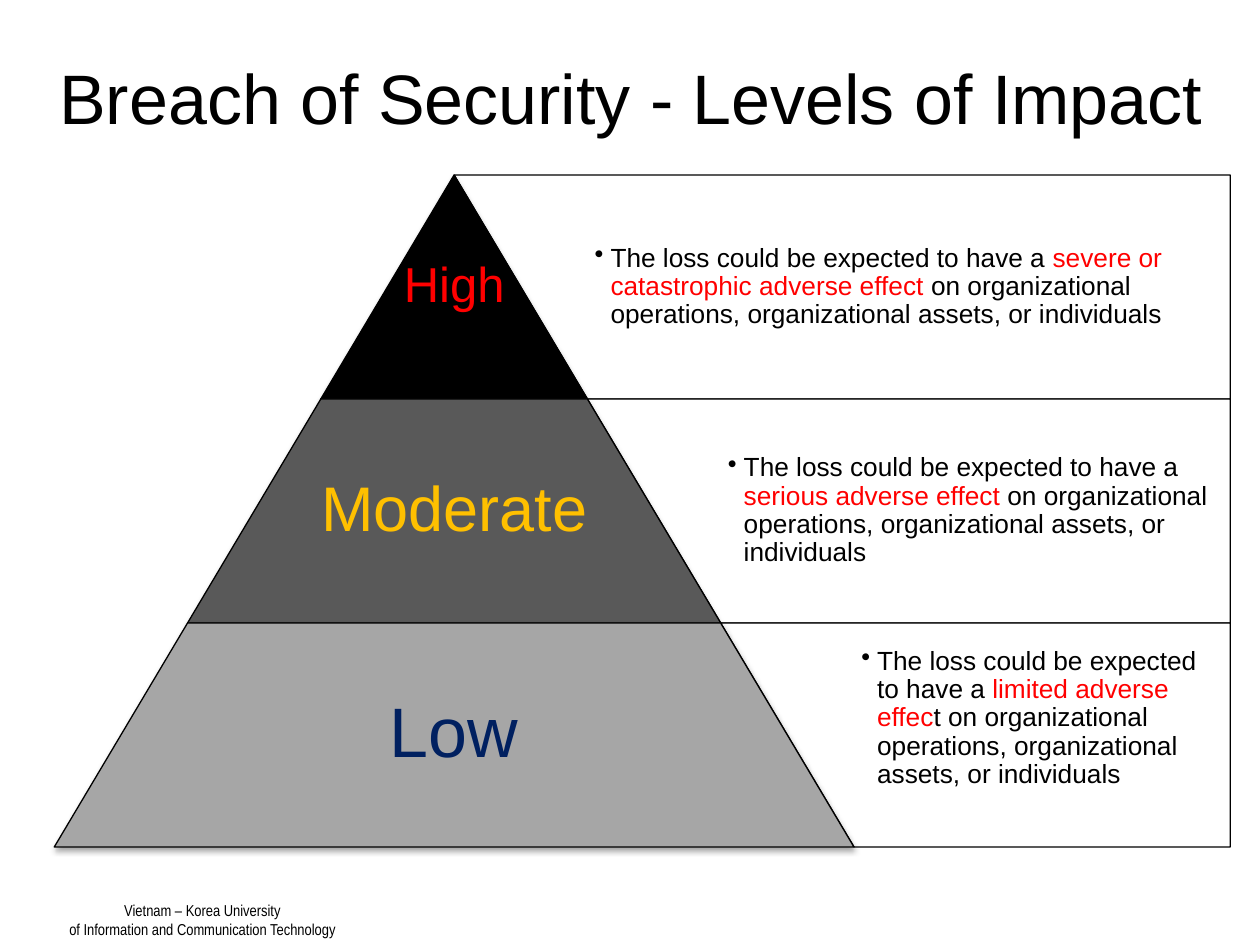
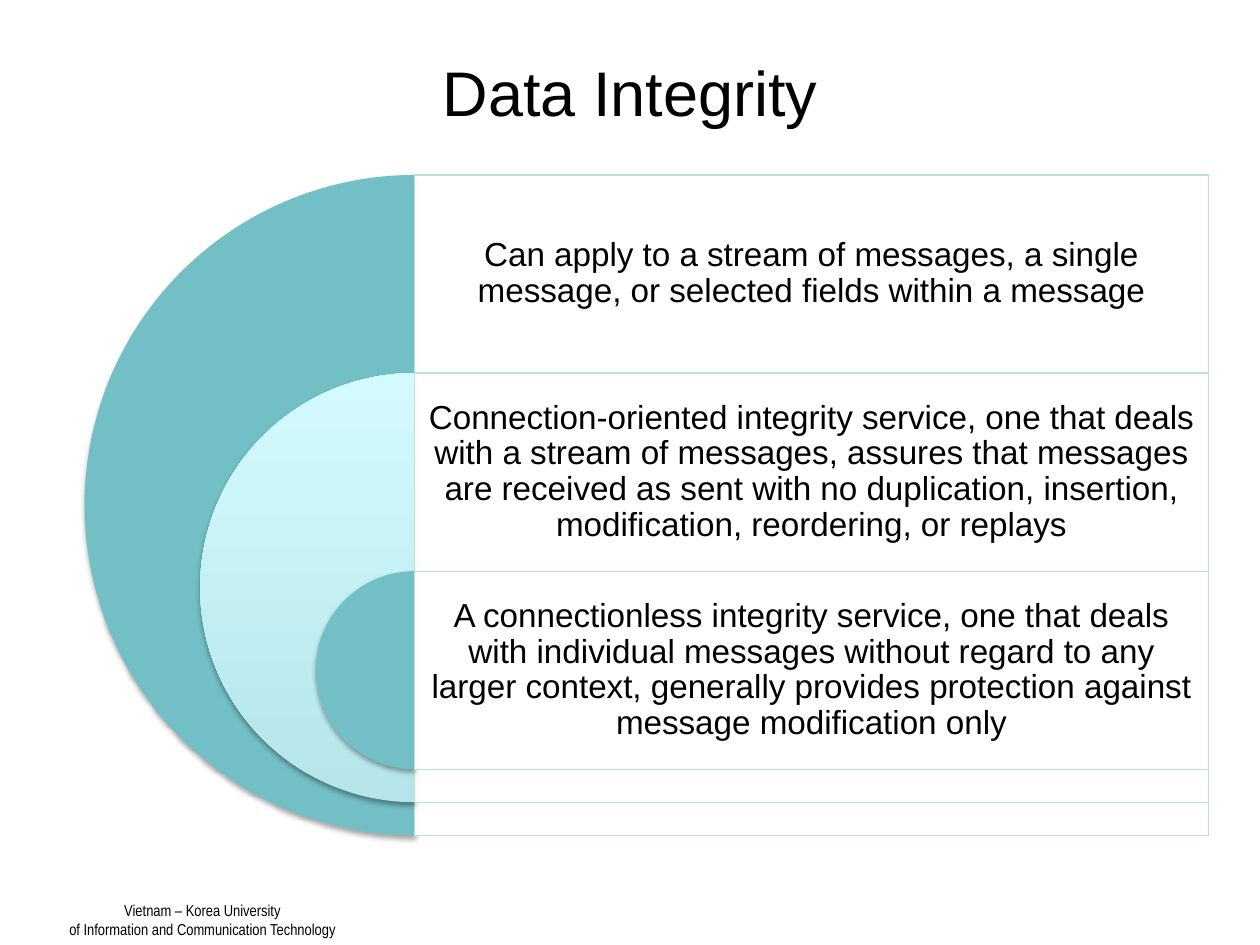
from lxml import etree
from pptx import Presentation
from pptx.dml.color import RGBColor
from pptx.enum.shapes import MSO_SHAPE as Shape
from pptx.enum.text import MSO_ANCHOR as Anchor, MSO_AUTO_SIZE as AutoSize, PP_ALIGN as Align
from pptx.oxml.ns import qn
from pptx.util import Pt

# Content
FOOTER = ["Vietnam – Korea University", "of Information and Communication Technology"]

LEVELS_TITLE = "Breach of Security - Levels of Impact"
EXPECTED = "The loss could be expected to have a "
AFFECTED = "on organizational operations, organizational assets, or individuals"
LEVELS = [
    dict(name="High", size=28, color="FF0000", fill="000000",
         effect="severe or catastrophic adverse effect ", rest=AFFECTED, lift=0),
    dict(name="Moderate", size=36, color="FFC000", fill="595959",
         effect="serious adverse effect ", rest=AFFECTED, lift=0),
    dict(name="Low", size=40, color="002060", fill="A6A6A6",
         effect="limited adverse effec", rest="t " + AFFECTED, lift=19),
]

INTEGRITY_TITLE = "Data Integrity"
INTEGRITY = [
    ("Can apply to a stream of messages, a single message, "
     "or selected fields within a message", ["72BFC5"]),
    ("Connection-oriented integrity service, one that deals with a stream of messages, "
     "assures that messages are received as sent with no duplication, insertion, "
     "modification, reordering, or replays", ["B5E5E9", "D3FBFF"]),
    ("A connectionless integrity service, one that deals with individual messages "
     "without regard to any larger context, generally provides protection against "
     "message modification only", ["72BFC5"]),
]

# Shared style
BLACK, WHITE, RED, PALE_TEAL = "000000", "FFFFFF", "FF0000", "BBE0E3"
FONT, FOOTER_FONT = "Arial", "Arial Narrow"
TOP = 100


def rgb(color):
    return RGBColor.from_string(color)


def place(shape, left, top, width, height):
    shape.left, shape.top = Pt(left), Pt(top)
    shape.width, shape.height = Pt(width), Pt(height)


def write(shape, paragraphs, size, font=FONT, color=BLACK, align=Align.CENTER,
          anchor=Anchor.MIDDLE, inset=(7.2, 3.6, 7.2, 3.6), spacing=None, wrap=True,
          bullet_indent=None):
    """Fill a shape with paragraphs, each a string or a list of (text, color)."""
    frame = shape.text_frame
    frame.auto_size = AutoSize.NONE
    frame.word_wrap, frame.vertical_anchor = wrap, anchor
    (frame.margin_left, frame.margin_top,
     frame.margin_right, frame.margin_bottom) = map(Pt, inset)
    for index, spans in enumerate(paragraphs):
        para = frame.add_paragraph() if index else frame.paragraphs[0]
        para.alignment = align
        if spacing:
            para.line_spacing = spacing
        if bullet_indent:
            props = para._p.get_or_add_pPr()
            props.set("marL", str(Pt(bullet_indent)))
            props.set("indent", str(-Pt(bullet_indent)))
            etree.SubElement(props, qn("a:buChar"), char="•")
        for text, span_color in [(spans, color)] if isinstance(spans, str) else spans:
            span = para.add_run()
            span.text = text
            span.font.name, span.font.size = font, Pt(size)
            span.font.color.rgb = rgb(span_color)


def add_text(slide, frame, paragraphs, **text_format):
    write(slide.shapes.add_textbox(*map(Pt, frame)), paragraphs, **text_format)


def set_alpha(color_element, percent):
    etree.SubElement(color_element, qn("a:alpha"), val=str(percent * 1000))


def add_shadow(shape):
    effects = shape._element.spPr.find(qn("a:effectLst"))
    shadow = etree.SubElement(effects, qn("a:outerShdw"), blurRad=str(Pt(3.1)),
                              dist=str(Pt(1.8)), dir="5400000", rotWithShape="0")
    set_alpha(etree.SubElement(shadow, qn("a:srgbClr"), val=BLACK), 35)


def add_part(slide, kind, frame, fills, line=None, adjust=(), alpha=None, shadow=False):
    """Add a preset shape; two fills make a gradient from bottom to top."""
    part = slide.shapes.add_shape(kind, *map(Pt, frame))
    part.shadow.inherit = False
    for index, value in enumerate(adjust):
        part.adjustments[index] = value
    if len(fills) > 1:
        part.fill.gradient()
        part.fill.gradient_angle = 90
        for index, color in enumerate(fills):
            stop = part.fill.gradient_stops[index]
            stop.color.rgb, stop.position = rgb(color), index
    else:
        part.fill.solid()
        part.fill.fore_color.rgb = rgb(fills[0])
    if alpha:
        set_alpha(part._element.spPr.find(f"{qn('a:solidFill')}/{qn('a:srgbClr')}"), alpha)
    if line:
        part.line.color.rgb, part.line.width = rgb(line), Pt(0.75)
    else:
        part.line.fill.background()
    if shadow:
        add_shadow(part)
    return part


def add_page(deck, title, frame, size):
    page = deck.slides.add_slide(deck.slide_layouts[5])
    place(page.shapes.title, *frame)
    write(page.shapes.title, [title], size=size)
    add_text(page, (31, 511.2, 169.2, 28.8), FOOTER, size=9, font=FOOTER_FONT,
             anchor=Anchor.TOP, wrap=False)
    return page


def build_levels(deck):
    page = add_page(deck, LEVELS_TITLE, (14.4, 21.6, 692, 67), 40)
    apex, right, tier, slope = 259.5, 703, 128, 0.595
    step = slope * tier
    for index, level in enumerate(LEVELS):
        top = TOP + index * tier
        inner = apex + index * step     # slanted edge at the top of the tier
        outer = inner + step            # slanted edge at its bottom
        half = outer - apex

        # Description panel beside the tier
        panel = add_part(page, Shape.NON_ISOSCELES_TRAPEZOID, (inner, top, right - inner, tier),
                         [WHITE], line=BLACK, adjust=(0, slope), alpha=90)
        panel.rotation = 180
        spans = [(EXPECTED, BLACK), (level["effect"], RED), (level["rest"], BLACK)]
        add_text(page, (outer, top, right - outer, tier), [spans], size=15, align=Align.LEFT,
                 inset=(4.2, 4.2, 4.2, 4.2 + level["lift"]), spacing=0.9, bullet_indent=9)

        # Pyramid tier and its name
        add_part(page, Shape.TRAPEZOID, (apex - half, top, 2 * half, tier), [level["fill"]],
                 line=BLACK, adjust=(slope,), shadow=True)
        name_width = max(2 * step, 1.3 * half)
        add_text(page, (apex - name_width / 2, top, name_width, tier), [level["name"]],
                 size=level["size"], color=level["color"], inset=(3.6,) * 4, spacing=0.9)


def build_integrity(deck):
    page = add_page(deck, INTEGRITY_TITLE, (36, 21.6, 648, 61), 36)
    center, width, diameter = 237, 453.5, 377.3
    band = 0.3 * diameter
    for index, (text, fills) in enumerate(INTEGRITY):
        size = diameter * (1 - 0.35 * index)
        top = TOP + index * band
        add_part(page, Shape.PIE, (center - size / 2, top, size, size), fills,
                 adjust=(54, 162), shadow=True)
        add_part(page, Shape.RECTANGLE, (center, top, width, size), [WHITE],
                 line=PALE_TEAL, alpha=90)
        add_text(page, (center, top, width, band), [text], size=19,
                 inset=(5.7,) * 4, spacing=0.9)


def main():
    deck = Presentation()
    deck.slide_width, deck.slide_height = Pt(720), Pt(540)
    build_levels(deck)
    build_integrity(deck)
    deck.save("out.pptx")


if __name__ == "__main__":
    main()
